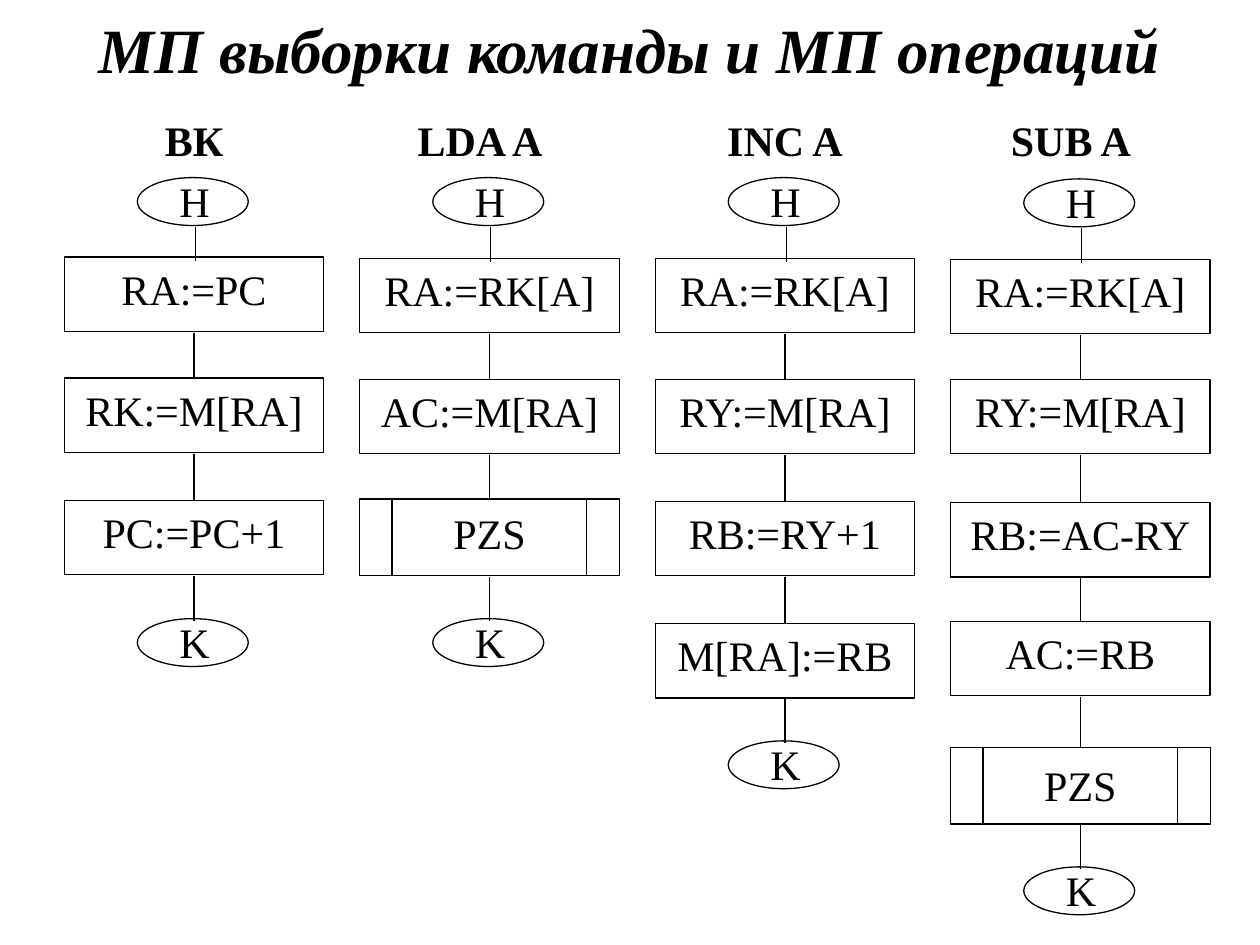
from dataclasses import dataclass

import pptx
import pptx.dml.color
import pptx.enum.shapes
import pptx.enum.text
import pptx.oxml
import pptx.util
from pptx.enum.shapes import MSO_SHAPE
from pptx.util import Inches

BLACK = pptx.dml.color.RGBColor(0, 0, 0)
WHITE = pptx.dml.color.RGBColor(255, 255, 255)
FONT = "Times New Roman"

# Flowchart geometry, in inches
STEP_WIDTH, STEP_HEIGHT, CALL_HEIGHT = 2.06, 0.59, 0.61
OVAL_WIDTH, OVAL_HEIGHT = 0.88, 0.38
LABEL_WIDTH, LABEL_HEIGHT = 1.17, 0.52
FIRST_LEFT, COLUMN_PITCH = 0.51, 2.345
START_TOP = 1.41


@dataclass
class Step:
    text: str
    top: float
    is_call: bool = False
    text_drop: float = 0.0

    @property
    def bottom(self) -> float:
        return self.top + (CALL_HEIGHT if self.is_call else STEP_HEIGHT)


@dataclass
class Microprogram:
    name: str
    name_center: float
    name_width: float
    start_top: float
    steps: list[Step]
    end_top: float


MICROPROGRAMS = [
    Microprogram("ВК", 1.54, 1.17, START_TOP, [
        Step("RA:=PC", 2.04), Step("RK:=M[RA]", 3.0),
        Step("PC:=PC+1", 3.97)], 4.91),
    Microprogram("LDA A", 3.81, 1.32, START_TOP, [
        Step("RA:=RK[A]", 2.05), Step("AC:=M[RA]", 3.01),
        Step("PZS", 3.96, True, 0.02)], 4.91),
    Microprogram("INC A", 6.23, 1.17, START_TOP, [
        Step("RA:=RK[A]", 2.05), Step("RY:=M[RA]", 3.01),
        Step("RB:=RY+1", 3.98), Step("M[RA]:=RB", 4.95)], 5.88),
    Microprogram("SUB A", 8.5, 1.33, START_TOP + 0.01, [
        Step("RA:=RK[A]", 2.06), Step("RY:=M[RA]", 3.01),
        Step("RB:=AC-RY", 3.99), Step("AC:=RB", 4.93),
        Step("PZS", 5.93, True, 0.05)], 6.88),
]


def write(frame, text: str, size: int = 24, bold: bool = False,
          italic: bool = False, anchor=pptx.enum.text.MSO_ANCHOR.TOP) -> None:
    frame.word_wrap = True
    frame.vertical_anchor = anchor
    paragraph = frame.paragraphs[0]
    paragraph.alignment = pptx.enum.text.PP_ALIGN.CENTER
    run = paragraph.add_run()
    run.text = text
    run.font.name = FONT
    run.font.size = pptx.util.Pt(size)
    run.font.bold = bold
    run.font.italic = italic
    run.font.color.rgb = BLACK


def add_label(slide, left: float, top: float, width: float, height: float,
              text: str, **style) -> None:
    label = slide.shapes.add_textbox(
        Inches(left), Inches(top), Inches(width), Inches(height))
    write(label.text_frame, text, **style)


def add_outline(slide, kind, left: float, top: float, width: float, height: float):
    outline = slide.shapes.add_shape(
        kind, Inches(left), Inches(top), Inches(width), Inches(height))
    outline.shadow.inherit = False
    outline.fill.background()
    outline.line.color.rgb = BLACK
    outline.line.width = pptx.util.Pt(0.75)
    return outline


def add_link(slide, x: float, top: float, bottom: float) -> None:
    link = slide.shapes.add_connector(
        pptx.enum.shapes.MSO_CONNECTOR.STRAIGHT,
        Inches(x), Inches(top), Inches(x), Inches(bottom))
    link.line.color.rgb = BLACK
    link.line.width = pptx.util.Pt(0.75)
    properties = link._element.spPr
    properties.append(properties.makeelement(pptx.oxml.ns.qn("a:effectLst"), {}))


def add_terminal(slide, column_left: float, top: float, letter: str) -> None:
    add_outline(slide, MSO_SHAPE.OVAL, column_left + 0.58, top,
                OVAL_WIDTH, OVAL_HEIGHT)
    add_label(slide, column_left + 0.45, top - 0.07,
              LABEL_WIDTH, LABEL_HEIGHT, letter)


def add_step(slide, left: float, step: Step) -> None:
    kind = MSO_SHAPE.FLOWCHART_PREDEFINED_PROCESS if step.is_call else MSO_SHAPE.RECTANGLE
    block = add_outline(slide, kind, left, step.top,
                        STEP_WIDTH, step.bottom - step.top)
    if step.is_call:
        add_label(slide, left, step.top + step.text_drop,
                  STEP_WIDTH, STEP_HEIGHT, step.text)
    else:
        write(block.text_frame, step.text)


def add_microprogram(slide, left: float, program: Microprogram) -> None:
    add_label(slide, program.name_center - program.name_width / 2, 0.86,
              program.name_width, LABEL_HEIGHT, program.name, bold=True)

    # Start oval, steps and end oval
    add_terminal(slide, left, program.start_top, "Н")
    for step in program.steps:
        add_step(slide, left, step)
    add_terminal(slide, left, program.end_top, "K")

    # Links from each part to the next
    add_link(slide, left + 1.04, program.start_top + 0.39, program.steps[0].top + 0.03)
    next_tops = [step.top for step in program.steps[1:]] + [program.end_top + 0.02]
    for step, next_top in zip(program.steps, next_tops):
        add_link(slide, left + 1.03, step.bottom + 0.01, next_top)


def main() -> None:
    presentation = pptx.Presentation()
    presentation.slide_width = Inches(10)
    presentation.slide_height = Inches(7.5)
    slide = presentation.slides.add_slide(presentation.slide_layouts[6])
    slide.background.fill.solid()
    slide.background.fill.fore_color.rgb = WHITE

    # Title
    add_label(slide, 0.27, 0.09, 9.45, 0.59, "МП выборки команды и МП операций",
              size=36, bold=True, italic=True,
              anchor=pptx.enum.text.MSO_ANCHOR.MIDDLE)

    # One flowchart per column
    for column, program in enumerate(MICROPROGRAMS):
        add_microprogram(slide, FIRST_LEFT + column * COLUMN_PITCH, program)

    presentation.save("out.pptx")


if __name__ == "__main__":
    main()
